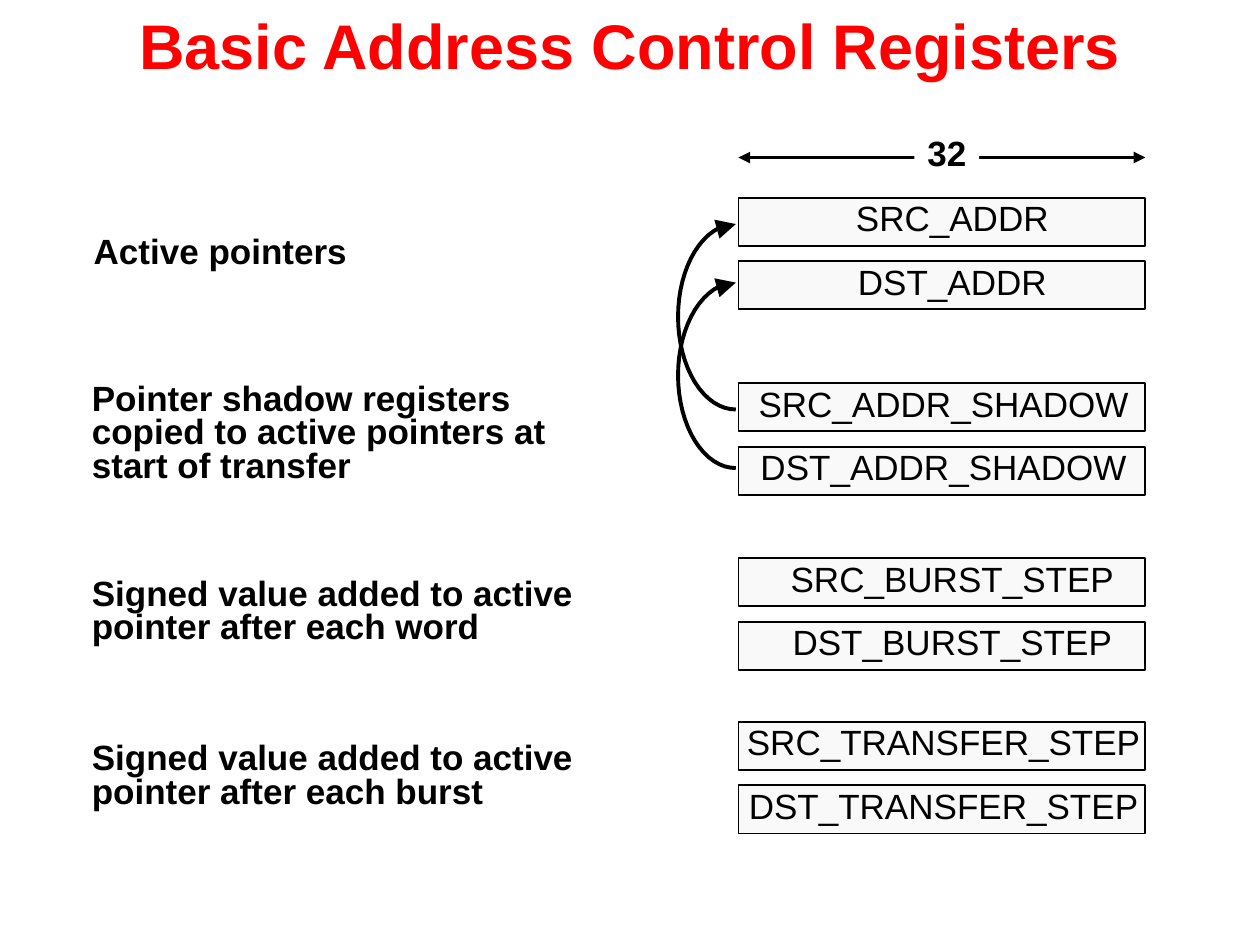
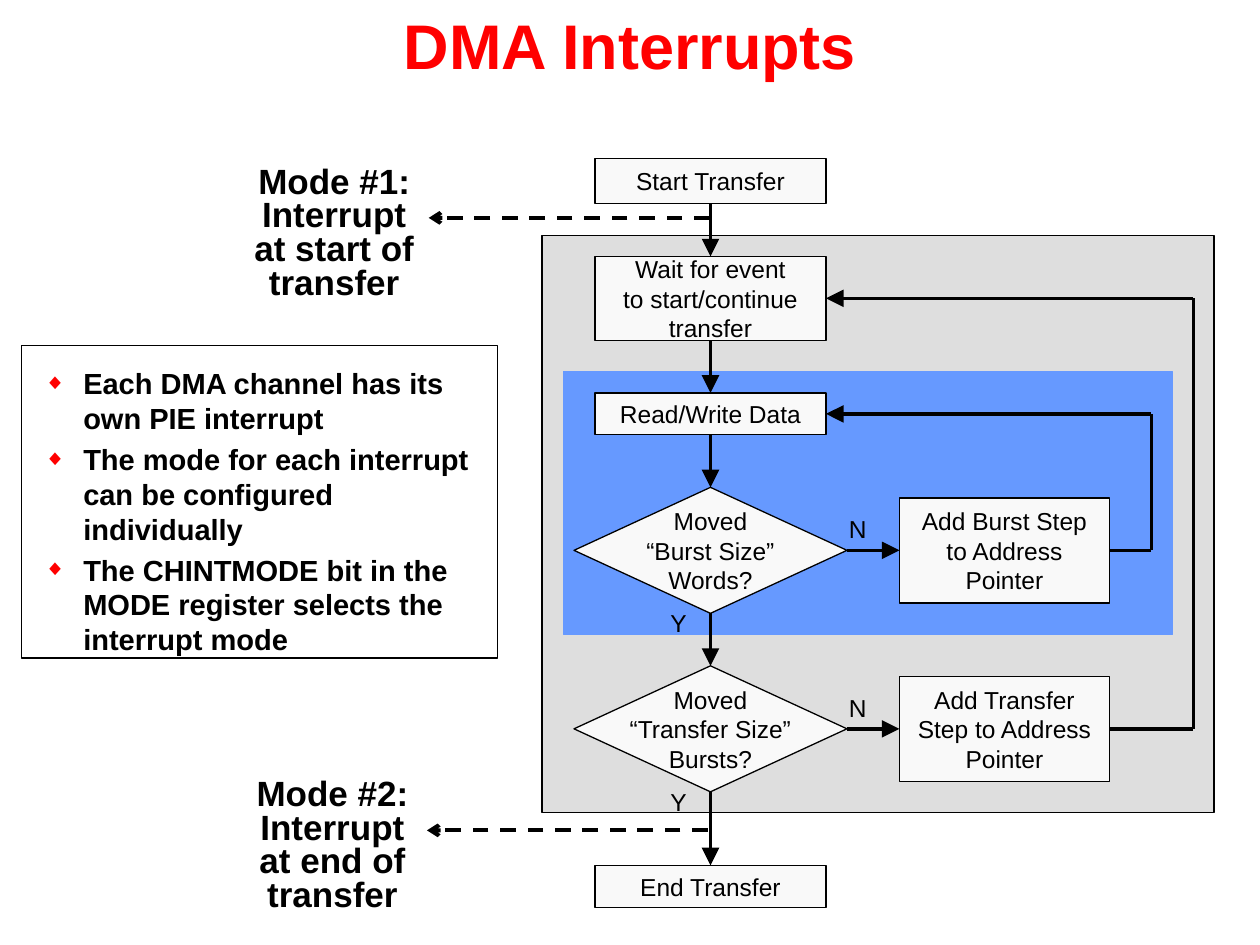
"""Build two slides on DMA address registers and interrupts."""
from math import cos, pi, sin

from lxml import etree
from pptx import Presentation
from pptx import util as u
from pptx.dml.color import RGBColor
from pptx.enum import dml, shapes, text
from pptx.oxml import ns

Pt = u.Pt
FONT = "Arial"
COLORS = {"title": "FF0000", "ink": "000000", "box": "F9F9F9", "paper": "FFFFFF",
          "outer": "DEDEDE", "inner": "6699FF"}
INSET = (7.2, 3.6, 7.2, 3.6)
RECT = shapes.MSO_SHAPE.RECTANGLE
DIAMOND = shapes.MSO_SHAPE.DIAMOND
LEFT, CENTER = text.PP_ALIGN.LEFT, text.PP_ALIGN.CENTER
TOP, MIDDLE = text.MSO_ANCHOR.TOP, text.MSO_ANCHOR.MIDDLE
SITE_TOP, SITE_LEFT, SITE_BOTTOM, SITE_RIGHT = range(4)


def rgb(name):
    """Look up a named colour."""
    return RGBColor.from_string(COLORS[name])


def sub(parent, tag, **attrs):
    """Append a DrawingML element."""
    return etree.SubElement(parent, ns.qn("a:" + tag), attrs)


def bullet(p):
    """Give a paragraph a red diamond and a hanging indent."""
    ppr = p._p.get_or_add_pPr()
    ppr.set("marL", str(Pt(22.3)))
    ppr.set("indent", str(-Pt(22.3)))
    sub(sub(ppr, "buClr"), "srgbClr", val=COLORS["title"])
    sub(ppr, "buSzPct", val="75000")
    sub(ppr, "buFont", typeface=FONT)
    sub(ppr, "buChar", char="◆")


def write(sp, content, size=14, bold=False, color="ink", align=CENTER, anchor=MIDDLE,
          wrap=False, spacing=None, before=0, inset=(0, 0, 0, 0), bullets=False):
    """Put formatted text in a shape, one paragraph per line."""
    tf = sp.text_frame
    tf.word_wrap = wrap
    tf.vertical_anchor = anchor
    tf.margin_left, tf.margin_top, tf.margin_right, tf.margin_bottom = map(Pt, inset)
    for i, line in enumerate(content.split("\n")):
        p = tf.add_paragraph() if i else tf.paragraphs[0]
        p.alignment = align
        if spacing:
            p.line_spacing = spacing
        if i and before:
            p.space_before = Pt(before)
        if bullets:
            bullet(p)
        r = p.add_run()
        r.text = line
        r.font.name, r.font.size, r.font.bold = FONT, Pt(size), bold
        r.font.color.rgb = rgb(color)
    return sp


def label(s, content, x, y, w, h, **fmt):
    """Add a text box."""
    sp = s.shapes.add_textbox(Pt(x), Pt(y), Pt(w), Pt(h))
    return write(sp, content, **{"anchor": TOP, "inset": INSET, **fmt})


def note(s, content, x, y, w, h, align=LEFT):
    """Add a bold, tightly spaced caption."""
    return label(s, content, x, y, w, h, size=20, bold=True, align=align, wrap=True,
                 spacing=0.8)


def box(s, x, y, w, h, kind=RECT, fill="box", line="ink", width=0.75):
    """Add a preset shape with optional fill and line."""
    sp = s.shapes.add_shape(kind, Pt(x), Pt(y), Pt(w), Pt(h))
    sp.shadow.inherit = False
    if fill:
        sp.fill.solid()
        sp.fill.fore_color.rgb = rgb(fill)
    else:
        sp.fill.background()
    if line:
        sp.line.color.rgb = rgb(line)
        sp.line.width = Pt(width)
    else:
        sp.line.fill.background()
    return sp


def stroke(sp, width, head=None, tail=None, tip="lg"):
    """Draw a black line with arrowheads."""
    sp.line.color.rgb = rgb("ink")
    sp.line.width = Pt(width)
    ln = sp.line._get_or_add_ln()
    for tag, kind in (("headEnd", head), ("tailEnd", tail)):
        if kind:
            sub(ln, tag, type=kind, w=tip, len=tip)


def site_point(sp, site):
    """Return the middle of one side of a shape in points."""
    dx, dy = ((0.5, 0), (0, 0.5), (0.5, 1), (1, 0.5))[site]
    return sp.left.pt + dx * sp.width.pt, sp.top.pt + dy * sp.height.pt


def link(s, start, end, width=2, head=None, tail="triangle", tip="lg", dash=False):
    """Join two ends, each a point or a (shape, site) pair."""
    joined = [hasattr(e[0], "left") for e in (start, end)]
    (x1, y1), (x2, y2) = (site_point(*e) if j else e for e, j in zip((start, end), joined))
    c = s.shapes.add_connector(shapes.MSO_CONNECTOR.STRAIGHT, Pt(x1), Pt(y1), Pt(x2), Pt(y2))
    if joined[0]:
        c.begin_connect(*start)
    if joined[1]:
        c.end_connect(*end)
    if dash:
        c.line.dash_style = dml.MSO_LINE.DASH
    stroke(c, width, head, tail, tip)
    sub(c._element.spPr, "effectLst")


def copy_arc(s, x, bottom, rx=33, ry=53, steps=32):
    """Add a left-bulging half ellipse with an arrow at its top."""
    angles = [pi / 2 + pi * i / steps for i in range(steps + 1)]
    points = [(Pt(x + rx * cos(a)), Pt(bottom - ry + ry * sin(a))) for a in angles]
    fb = s.shapes.build_freeform(*points[0])
    fb.add_line_segments(points[1:], close=False)
    sp = fb.convert_to_shape()
    sp.shadow.inherit = False
    sp.fill.background()
    stroke(sp, 2.25, tail="triangle")


def titled_slide(prs, title):
    """Add a blank slide with the shared title."""
    s = prs.slides.add_slide(prs.slide_layouts[6])
    label(s, title, 0, 0, 720, 58.3, size=36, bold=True, color="title", anchor=MIDDLE,
          wrap=True, inset=(7.2, 0, 7.2, 8))
    return s


def register_pair(s, suffix, top, shift):
    """Add the source and destination registers of one kind."""
    for i, side in enumerate(("SRC", "DST")):
        sp = box(s, 422, top + 36.3 * i, 232.5, 27.5, width=1)
        write(sp, f"{side}_{suffix}", size=20, spacing=0.8, inset=(shift, 0, 0, 0))


def registers_slide(prs):
    """Build the address register slide."""
    s = titled_slide(prs, "Basic Address Control Registers")
    for bottom in (234, 267.5):
        copy_arc(s, 420.5, bottom)
    for suffix, top, shift in (("ADDR", 113, 12), ("ADDR_SHADOW", 219, 2),
                               ("BURST_STEP", 319, 12), ("TRANSFER_STEP", 412.5, 2)):
        register_pair(s, suffix, top, shift)
    for content, x, y, w, h in (
            ("Active pointers", 46.5, 132.5, 166, 26.5),
            ("Pointer shadow registers copied to active pointers at start of transfer",
             45.4, 216, 287, 65),
            ("Signed value added to active pointer after each word", 45.4, 327.5, 311, 46),
            ("Signed value added to active pointer after each burst", 45.4, 421.5, 311, 46)):
        note(s, content, x, y, w, h)
    link(s, (422, 90), (654.5, 90), width=2.25, head="triangle", tip="med")
    write(box(s, 522.5, 76, 37, 26.5, fill="paper", line=None), "32", size=20, bold=True,
          spacing=0.8)


def flow_node(s, content, center, top, w, h, kind=RECT):
    """Add a flowchart step centred on a column."""
    return write(box(s, center - w / 2, top, w, h, kind), content)


def loop_back(s, source, target, x):
    """Route a line from a step out to x and back into an earlier step."""
    y1 = site_point(source, SITE_RIGHT)[1]
    y2 = site_point(target, SITE_RIGHT)[1]
    link(s, (source, SITE_RIGHT), (x, y1), tail=None)
    link(s, (x, y1), (x, y2), tail=None)
    link(s, (x, y2), (target, SITE_RIGHT))


def interrupts_slide(prs):
    """Build the interrupt flowchart slide."""
    s = titled_slide(prs, "DMA Interrupts")
    box(s, 309.7, 134.7, 384, 329.7, fill="outer")
    box(s, 322, 212.5, 348, 150, fill="inner", line="inner", width=0.5)

    column, top = 406, 90.5
    steps = []
    for content, w, h, gap, kind in (
            ("Start Transfer", 132, 26, 30, RECT),
            ("Wait for event\nto start/continue\ntransfer", 132, 48, 30, RECT),
            ("Read/Write Data", 132, 24, 30, RECT),
            ("Moved\n“Burst Size”\nWords?", 156, 72, 30, DIAMOND),
            ("Moved\n“Transfer Size”\nBursts?", 156, 72, 42, DIAMOND),
            ("End Transfer", 132, 24, 0, RECT)):
        steps.append(flow_node(s, content, column, top, w, h, kind))
        top += h + gap
    for a, b in zip(steps, steps[1:]):
        link(s, (a, SITE_BOTTOM), (b, SITE_TOP))

    wait, read, burst, transfer = steps[1:5]
    for decision, content, target, x in (
            (burst, "Add Burst Step\nto Address\nPointer", read, 658),
            (transfer, "Add Transfer\nStep to Address\nPointer", wait, 682)):
        middle = site_point(decision, SITE_RIGHT)[1]
        add = flow_node(s, content, 574, middle - 30, 120, 60)
        link(s, (decision, SITE_RIGHT), (add, SITE_LEFT))
        loop_back(s, add, target, x)
        label(s, "N", 478, middle - 24.3, 24.5, 24, align=LEFT)
        label(s, "Y", 376, middle + 29.4, 24, 24, align=LEFT)

    for content, x, y in (("Mode #1: Interrupt at start of transfer", 134, 92),
                          ("Mode #2: Interrupt at end of transfer", 133, 442)):
        note(s, content, x, y, 114, 84.5, align=CENTER)
        link(s, (x + 271.5, y + 32.5), (x + 111, y + 32.5), width=2.25, tail="arrow",
             tip="med", dash=True)

    write(box(s, 12.3, 197.5, 272, 178.5, fill=None, width=1),
          "Each DMA channel has its own PIE interrupt\n"
          "The mode for each interrupt can be configured individually\n"
          "The CHINTMODE bit in the MODE register selects the interrupt mode",
          size=16.6, bold=True, align=LEFT, anchor=TOP, wrap=True, before=3.5,
          inset=(13, 11.3, 13, 0), bullets=True)


def main():
    """Build and save the presentation."""
    prs = Presentation()
    prs.slide_width, prs.slide_height = Pt(720), Pt(540)
    registers_slide(prs)
    interrupts_slide(prs)
    prs.save("out.pptx")


if __name__ == "__main__":
    main()
